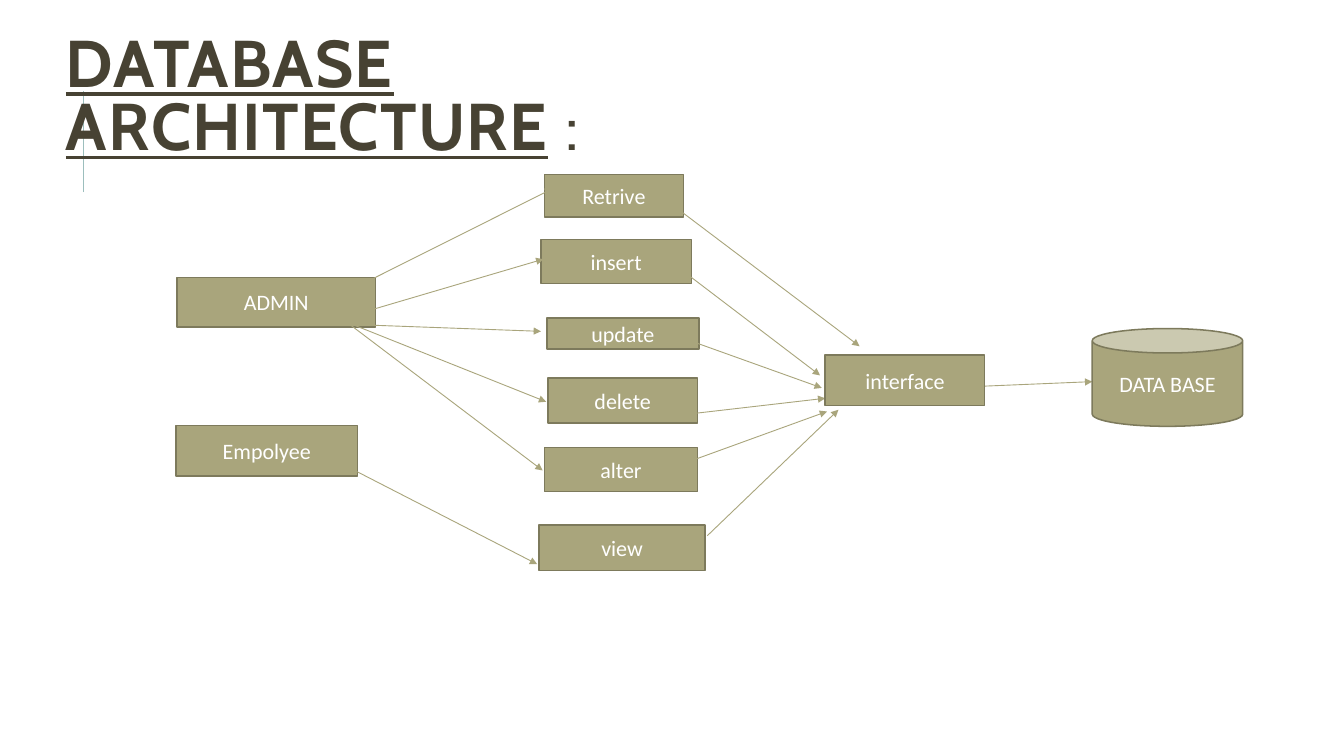
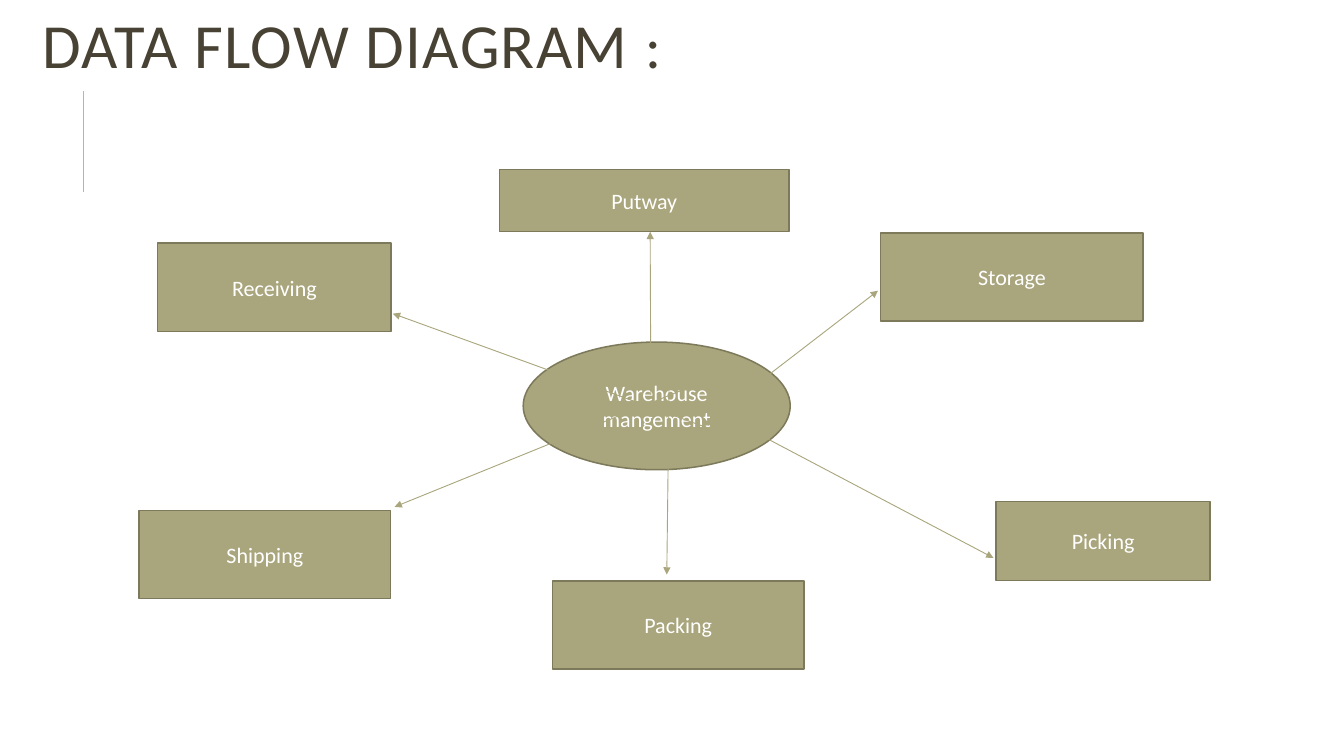
from lxml.etree import SubElement
from pptx import Presentation
from pptx.dml.color import RGBColor
from pptx.enum.shapes import MSO_CONNECTOR, MSO_SHAPE
from pptx.enum.text import MSO_ANCHOR, PP_ALIGN
from pptx.oxml.ns import qn
from pptx.util import Cm, Pt

COLORS = {
    "title": "474233",
    "accent": "9CBEBD",
    "node": "A9A57C",
    "outline": "7D7A5C",
    "label": "FFFFFF",
}
BODY_FONT = "Calibri"
TITLE_FONT = "Cabin"


def rgb(name):
    """Return the palette colour with the given name."""
    return RGBColor.from_string(COLORS[name])


def add_line(slide, start, end, color, width, heads=()):
    """Draw a straight line, with triangles at the ends named in heads."""
    line = slide.shapes.add_connector(
        MSO_CONNECTOR.STRAIGHT, *(Cm(value) for value in (*start, *end)))
    line.line.color.rgb = rgb(color)
    line.line.width = Pt(width)
    outline = line.line._get_or_add_ln()
    for head in heads:
        SubElement(outline, qn(f"a:{head}"), type="triangle")
    SubElement(line._element.spPr, qn("a:effectLst"))


def add_title(slide, box, runs, font_name):
    """Place the accent rule and the title, given as (text, size, bold, underline) runs."""
    add_line(slide, (2.41, 5.54), (2.41, 2.62), "accent", 1.5)
    frame = slide.shapes.add_textbox(*(Cm(value) for value in box)).text_frame
    frame.word_wrap = True
    frame.vertical_anchor = MSO_ANCHOR.MIDDLE
    title = frame.paragraphs[0]
    title.line_spacing = 0.8
    title.font.name = font_name
    title.font.color.rgb = rgb("title")
    for text, size, bold, underline in runs:
        run = title.add_run()
        run.text = text
        run.font.name = font_name
        run.font.color.rgb = rgb("title")
        run.font.size = Pt(size)
        run.font.bold = bold
        run.font.underline = underline
        run._r.get_or_add_rPr().set("spc", "110")


def add_node(slide, origin, label, box, kind=MSO_SHAPE.RECTANGLE):
    """Place one labelled node, measured from the diagram's origin."""
    left, top, width, height = box
    node = slide.shapes.add_shape(
        kind, Cm(origin[0] + left), Cm(origin[1] + top), Cm(width), Cm(height))
    node.shadow.inherit = False
    node.fill.solid()
    node.fill.fore_color.rgb = rgb("node")
    node.line.color.rgb = rgb("outline")
    node.line.width = Pt(1.25)
    frame = node.text_frame
    frame.word_wrap = True
    frame.vertical_anchor = MSO_ANCHOR.MIDDLE
    paragraph = frame.paragraphs[0]
    paragraph.text = label
    paragraph.alignment = PP_ALIGN.CENTER
    paragraph.font.name = BODY_FONT
    paragraph.font.size = Pt(18)
    paragraph.font.color.rgb = rgb("label")


def add_arrow(slide, origin, x1, y1, x2, y2, heads=("tailEnd",)):
    """Draw one flow arrow, measured from the diagram's origin."""
    left, top = origin
    add_line(slide, (left + x1, top + y1), (left + x2, top + y2), "node", 0.75, heads)


def add_architecture(slide, origin):
    """Draw users, their operations, the interface and the database."""
    users_and_operations = {
        "ADMIN": (0.11, 3, 5.72, 1.42),
        "Empolyee": (0.08, 7.27, 5.23, 1.45),
        "Retrive": (10.7, 0.03, 4.01, 1.22),
        "insert": (10.6, 1.91, 4.34, 1.27),
        "update": (10.77, 4.17, 4.39, 0.89),
        "delete": (10.8, 5.9, 4.32, 1.3),
        "alter": (10.7, 7.9, 4.42, 1.27),
        "view": (10.54, 10.14, 4.8, 1.3),
    }
    user_flows = [
        (5.72, 3.05, 10.93, 0.44),
        (5.34, 4.04, 10.67, 2.47),
        (5.64, 4.37, 10.6, 4.55),
        (5.16, 4.35, 10.75, 6.58),
        (4.78, 4.12, 10.65, 8.56),
        (5.19, 8.54, 10.49, 11.26),
    ]
    interface_flows = [
        (14.61, 1.07, 19.79, 4.98),
        (14.84, 2.92, 18.65, 5.82),
        (14.79, 4.78, 18.7, 6.18),
        (14.38, 6.99, 18.8, 6.48),
        (14.99, 8.26, 18.85, 6.86),
        (15.4, 10.44, 19.18, 6.81),
        (23.4, 6.13, 26.5, 6),
    ]
    for label, box in users_and_operations.items():
        add_node(slide, origin, label, box)
    for flow in user_flows + interface_flows:
        add_arrow(slide, origin, *flow)
    add_node(slide, origin, "interface", (18.8, 5.24, 4.6, 1.45))
    add_node(slide, origin, "DATA BASE", (26.5, 4.47, 4.34, 2.82), MSO_SHAPE.CAN)


def add_data_flow(slide, origin):
    """Draw the central process and the activities around it."""
    both = ("headEnd", "tailEnd")
    activities = {
        "Receiving": (0.55, 2.21, 6.73, 2.54),
        "Putway": (10.4, 0.08, 8.36, 1.8),
        "Storage": (21.4, 1.91, 7.57, 2.54),
        "Picking": (24.73, 9.65, 6.17, 2.29),
        "Packing": (11.93, 11.94, 7.26, 2.54),
        "Shipping": (0.01, 9.91, 7.26, 2.54),
    }
    flows = [
        (17.06, 7.77, 7.33, 4.24, both),
        (14.77, 6.58, 14.75, 1.88),
        (16.24, 7.49, 21.32, 3.58, both),
        (17.51, 7.52, 24.65, 11.28),
        (15.3, 6, 15.23, 11.76),
        (15.66, 6.45, 7.38, 9.81),
    ]
    add_node(slide, origin, "Warehouse mangement", (11.09, 5.06, 7.7, 3.68),
             MSO_SHAPE.FLOWCHART_CONNECTOR)
    for flow in flows:
        add_arrow(slide, origin, *flow)
    for label, box in activities.items():
        add_node(slide, origin, label, box)


def main():
    """Build both slides and save the presentation."""
    deck = Presentation()
    deck.slide_width, deck.slide_height = Cm(38.76), Cm(21.79)
    blank = deck.slide_layouts[6]

    architecture = deck.slides.add_slide(blank)
    add_title(architecture, (1.65, 1.22, 24.89, 3.33), [
        ("DATABASE ARCHITECTURE", 54, True, True),
        (" ", 54, True, False),
        (":", 54, False, False),
    ], TITLE_FONT)
    add_architecture(architecture, (5, 5))

    data_flow = deck.slides.add_slide(blank)
    add_title(data_flow, (0.97, 0.64, 32.16, 1.65), [
        ("DATA FLOW DIAGRAM ", 51.3, False, False),
        (":", 48.6, False, False),
    ], BODY_FONT)
    add_data_flow(data_flow, (4, 4.8))

    deck.save("out.pptx")


if __name__ == "__main__":
    main()
